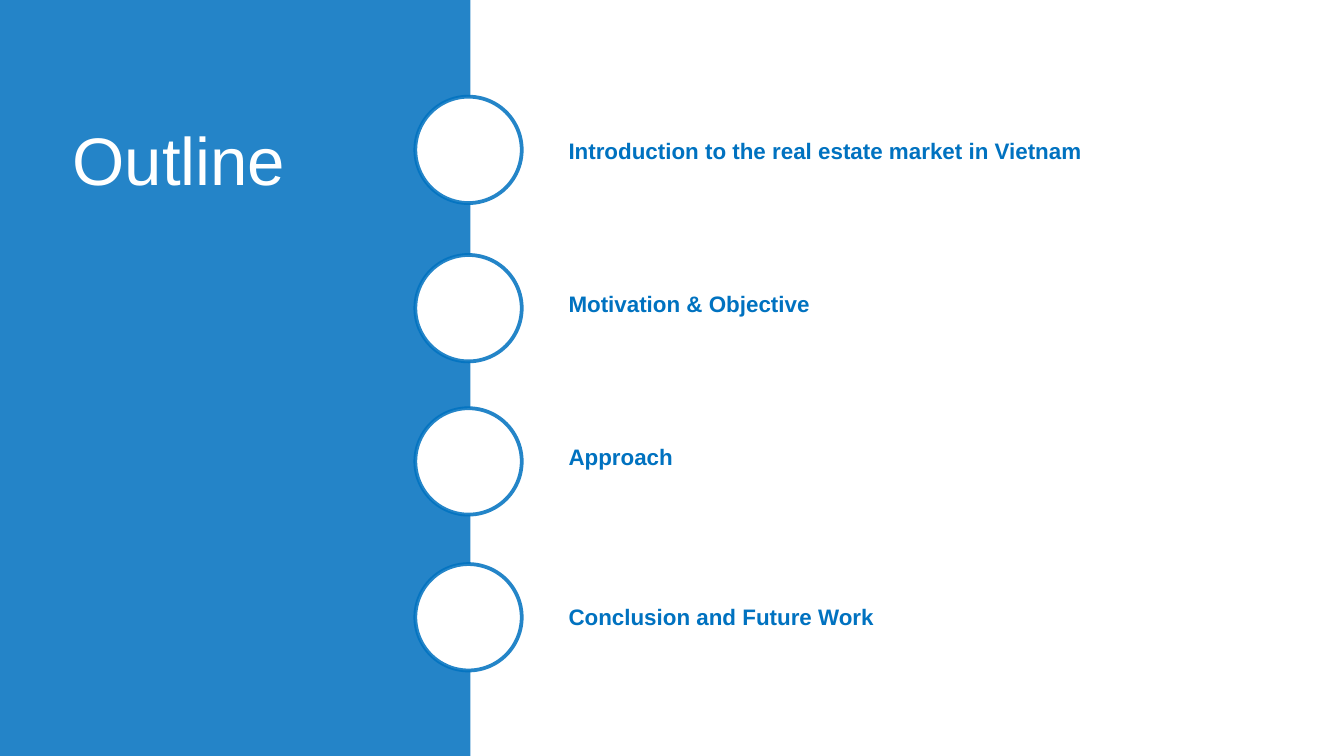
from dataclasses import dataclass

from lxml import etree
from pptx import Presentation
from pptx.dml.color import RGBColor
from pptx.enum import shapes, text
from pptx.oxml import ns
from pptx.util import Pt

WIDE, HIGH, SPLIT = 720, 405, 252
RING_X, RING_D = 222.5, 57
LABEL_X, LABEL_W, LABEL_H = 297.5, 340, 21.6
WHITE, BLUE, DEEP = "FFFFFF", "0072C0", "0070C0"


@dataclass(frozen=True)
class Item:
    label: str
    ring_y: float
    text_y: float
    turn: float = 0


ITEMS = [
    Item("Introduction to the real estate market in Vietnam", 51.8, 69.8),
    Item("Motivation & Objective", 136.6, 152),
    Item("Approach", 218.7, 234),
    Item("Conclusion and Future Work", 302.2, 319.7, 17),
]


def paint(fmt, tone: str) -> None:
    fmt.solid()
    fmt.fore_color.rgb = RGBColor.from_string(tone)


def fade(node, share: int) -> None:
    for tone in node.iter(ns.qn("a:srgbClr")):
        etree.SubElement(tone, ns.qn("a:alpha"), val=str(share * 1000))


def style(frame, words: str, size: float, tone: str, bold: bool) -> None:
    frame.text = words
    frame.word_wrap = True
    frame.auto_size = text.MSO_AUTO_SIZE.NONE
    para = frame.paragraphs[0]
    para.alignment = text.PP_ALIGN.LEFT
    font = para.runs[0].font
    font.name, font.size, font.bold = "Arial", Pt(size), bold
    paint(font.fill, tone)


def add_panel(slide, left: float, width: float, tone: str, share: int) -> None:
    panel = slide.shapes.add_shape(
        shapes.MSO_SHAPE.RECTANGLE, Pt(left), 0, Pt(width), Pt(HIGH))
    panel.shadow.inherit = False
    paint(panel.fill, tone)
    panel.line.fill.background()
    fade(panel.element.spPr, share)
    slide.shapes.title.element.addprevious(panel.element)


def add_title(slide, words: str) -> None:
    title = slide.shapes.title
    title.left, title.top = Pt(31.7), Pt(39.6)
    title.width, title.height = Pt(185.8), Pt(90.7)
    style(title.text_frame, words, 36, WHITE, False)
    title.text_frame.vertical_anchor = text.MSO_ANCHOR.MIDDLE


def add_ring(slide, item: Item) -> None:
    ring = slide.shapes.add_shape(
        shapes.MSO_SHAPE.OVAL, Pt(RING_X), Pt(item.ring_y), Pt(RING_D), Pt(RING_D))
    ring.shadow.inherit = False
    ring.rotation = item.turn
    paint(ring.fill, WHITE)
    paint(ring.line.fill, BLUE)
    ring.line.width = Pt(2)
    fade(ring.element.spPr.find(ns.qn("a:ln")), 85)


def add_label(slide, item: Item) -> None:
    box = slide.shapes.add_textbox(
        Pt(LABEL_X), Pt(item.text_y), Pt(LABEL_W), Pt(LABEL_H))
    style(box.text_frame, item.label, 12, BLUE, True)


def main() -> None:
    deck = Presentation()
    deck.slide_width, deck.slide_height = Pt(WIDE), Pt(HIGH)
    slide = deck.slides.add_slide(deck.slide_layouts.get_by_name("Title Only"))
    add_panel(slide, SPLIT, WIDE - SPLIT, WHITE, 88)
    add_panel(slide, 0, SPLIT, DEEP, 86)
    add_title(slide, "Outline")
    for item in ITEMS:
        add_ring(slide, item)
    for item in ITEMS:
        add_label(slide, item)
    deck.save("out.pptx")


if __name__ == "__main__":
    main()
